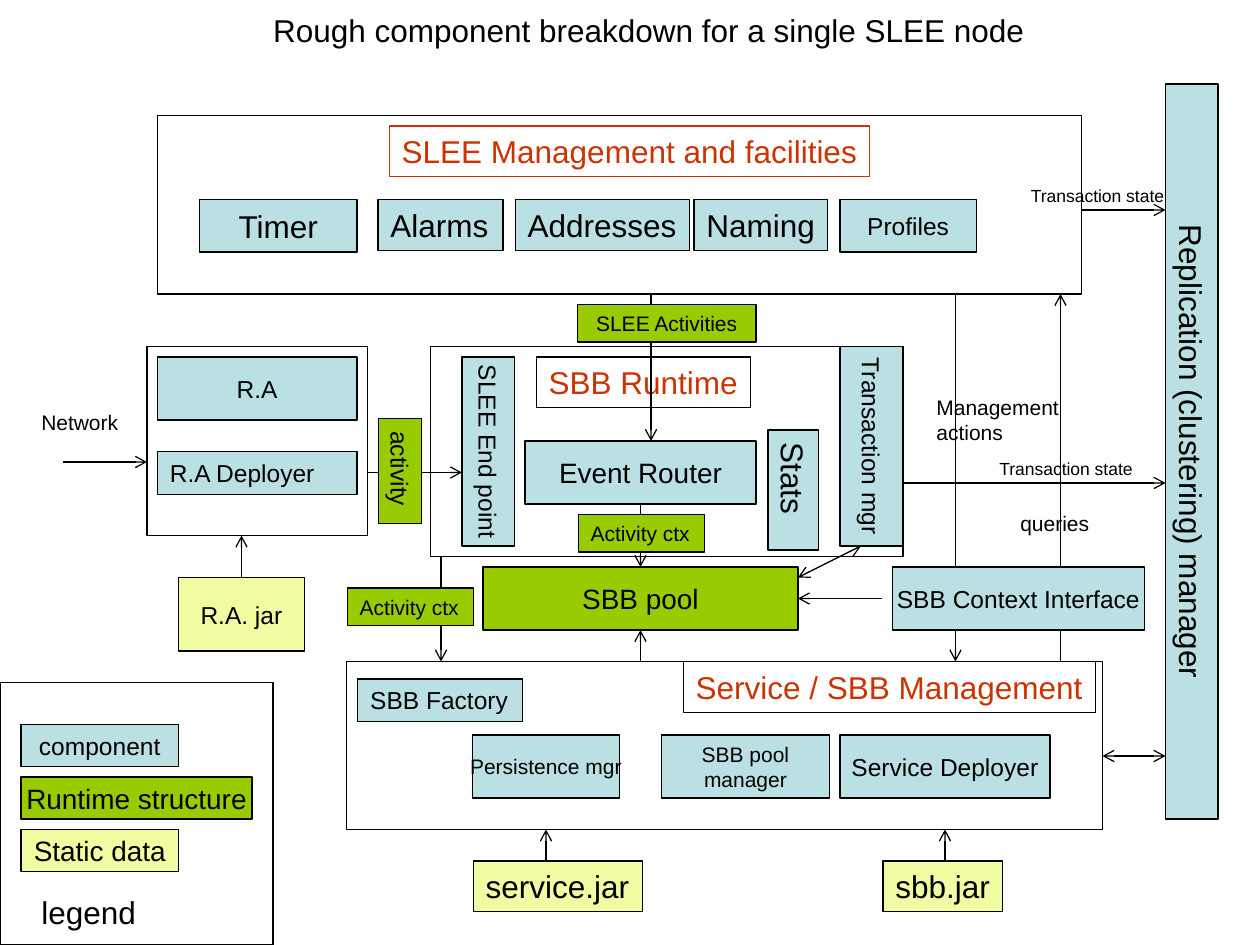
from pptx import Presentation
from pptx.dml.color import RGBColor
from pptx.enum.shapes import MSO_CONNECTOR as Link, MSO_SHAPE as Kind
from pptx.enum.text import MSO_ANCHOR as Anchor, MSO_AUTO_SIZE as Auto, PP_ALIGN as Align
from pptx.oxml.ns import qn
from pptx.util import Pt
from lxml.etree import SubElement as Sub

BLACK, RED = "000000", "CC3300"
BLUE, GREEN, CREAM = "BBE0E3", "99CC00", "F1FCA2"


def tint(code):
    return RGBColor.from_string(code)


def draw(text, size, x, y, w, h, fill=None, mode="mid", turn=0, line=BLACK, ink=BLACK):
    place = Pt(x), Pt(y), Pt(w), Pt(h)
    if line:
        box = slide.shapes.add_shape(Kind.RECTANGLE, *place)
        box.shadow.inherit = False
        box.line.color.rgb = tint(line)
        box.line.width = Pt(0.75)
        if fill:
            box.fill.solid()
            box.fill.fore_color.rgb = tint(fill)
        else:
            box.fill.background()
    else:
        box = slide.shapes.add_textbox(*place)
    box.rotation = turn
    if not text:
        return box
    frame = box.text_frame
    frame.word_wrap = mode in ("wrap", "center")
    frame.vertical_anchor = Anchor.MIDDLE if mode == "mid" else Anchor.TOP
    frame.auto_size = Auto.NONE if mode == "mid" else Auto.SHAPE_TO_FIT_TEXT
    for i, part in enumerate(text.split("\n")):
        para = frame.add_paragraph() if i else frame.paragraphs[0]
        para.alignment = Align.CENTER if mode in ("mid", "center") else Align.LEFT
        run = para.add_run()
        run.text = part
        run.font.size = Pt(size)
        run.font.name = "Arial"
        run.font.color.rgb = tint(ink)
    return box


deck = Presentation()
deck.slide_width, deck.slide_height = Pt(720), Pt(540)
slide = deck.slides.add_slide(deck.slide_layouts[6])

frames = [
    (90, 66, 528, 102),
    (84, 198, 126, 108),
    (246, 198, 270, 120),
    (198, 378, 432, 96),
    (0, 390, 156, 150),
]
for area in frames:
    draw("", 0, *area)

heads = [
    ("SLEE Management and facilities", 222.5, 72, 274.5, RED),
    ("SBB Runtime", 306.5, 204, 122.5, BLACK),
    ("Service / SBB Management", 390.5, 378, 235.5, BLACK),
]
for text, x, y, w, edge in heads:
    draw(text, 18, x, y, w, 29, mode="fit", line=edge, ink=RED)

boxes = [
    ("Timer", 18, 114, 114, 90, 30, BLUE),
    ("Alarms", 18, 216, 114, 71.5, 29, BLUE, "wrap"),
    ("Addresses", 18, 294.5, 114, 99.5, 29, BLUE, "fit"),
    ("Naming", 18, 396.5, 114, 76.5, 29, BLUE, "fit"),
    ("Profiles", 14, 480, 114, 78, 30, BLUE),
    ("R.A", 14, 90, 204, 114, 36, BLUE),
    ("R.A Deployer", 14, 90, 258, 114, 24.5, BLUE, "wrap"),
    ("SLEE End point", 14, 225, 243, 108, 30, BLUE, "mid", 90),
    ("Stats", 18, 419, 265.5, 68.5, 29, BLUE, "wrap", 90),
    ("Transaction mgr", 14, 441, 237, 114, 36, BLUE, "mid", 90),
    ("SBB Factory", 14, 204.5, 388, 94, 24.5, BLUE, "fit"),
    ("Persistence mgr", 12, 270, 420, 84, 36, BLUE),
    ("SBB pool\nmanager", 12, 378, 420, 96, 36, BLUE),
    ("Service Deployer", 14, 480, 420, 120, 36, BLUE),
    ("service.jar", 18, 270.5, 492, 96.5, 29, CREAM, "fit"),
    ("sbb.jar", 18, 504.5, 492, 68.5, 29, CREAM, "fit"),
    ("Replication (clustering) manager", 18, 471, 243, 420, 30, BLUE, "mid", 90),
    ("component", 14, 12, 414, 90, 24, BLUE),
    ("Runtime structure", 16, 12, 444, 132, 24, GREEN),
    ("Static data", 16, 12, 474, 90, 24, CREAM),
]
for row in boxes:
    draw(*row)

router = draw("Event Router", 16, 300, 252, 132, 36, BLUE)
pool = draw("SBB pool", 16, 276, 324, 180, 36, GREEN)
jar = draw("R.A. jar", 14, 102, 330, 72, 42, CREAM)

links = [
    (372, 168, 372, 252),
    (366, 288, 366, 324, (router, 2), (pool, 0)),
    (138, 330, 138, 306, (jar, 0)),
    (210, 270, 264, 270),
    (366, 378, 366, 360, None, (pool, 2)),
    (546, 168, 546, 378),
    (606, 378, 606, 168),
    (252, 318, 252, 378),
    (312, 492, 312, 474),
    (540, 492, 540, 474),
    (36, 264, 84, 264),
    (504, 342, 456, 342, None, (pool, 3)),
    (492, 312, 456, 330),
    (516, 276, 666, 276),
    (618, 120, 666, 120),
    (630, 432, 666, 432),
]
double = [(492, 312), (630, 432)]
for x, y, right, low, *joins in links:
    wire = slide.shapes.add_connector(Link.STRAIGHT, Pt(x), Pt(y), Pt(right), Pt(low))
    wire.line.color.rgb = tint(BLACK)
    wire.line.width = Pt(0.75)
    edge = wire.line._get_or_add_ln()
    ends = ["headEnd", "tailEnd"] if (x, y) in double else ["tailEnd"]
    for end in ends:
        Sub(edge, qn("a:" + end), type="arrow")
    Sub(wire._element.spPr, qn("a:effectLst"))
    for join, spot in zip((wire.begin_connect, wire.end_connect), joins):
        if spot:
            join(*spot)

tags = [
    ("SLEE Activities", 12, 330, 174, 102, 21.5, GREEN, "center"),
    ("Activity ctx", 12, 330.5, 294, 72, 21.5, GREEN, "fit"),
    ("Activity ctx", 12, 198.5, 336, 72, 21.5, GREEN, "fit"),
    ("activity", 14, 198.5, 257, 60, 24.5, GREEN, "fit", 90),
    ("SBB Context Interface", 14, 510, 324, 144, 36, BLUE),
]
for row in tags:
    draw(*row)

notes = [
    ("Rough component breakdown for a single SLEE node", 18, 149, 3, 444, 29, "fit"),
    ("Network", 12, 16.5, 230.5, 60, 21.5, "fit"),
    ("Management\nactions", 12, 528, 222, 90, 36, "wrap"),
    ("queries", 12, 576, 288, 56, 21.5, "fit"),
    ("Transaction state", 10, 564, 258, 93, 19.5, "wrap"),
    ("Transaction state", 10, 582, 102, 93, 19.5, "wrap"),
    ("legend", 18, 16.5, 507, 70, 29, "fit"),
]
for *spot, mode in notes:
    draw(*spot, mode=mode, line=None)

deck.save("out.pptx")
